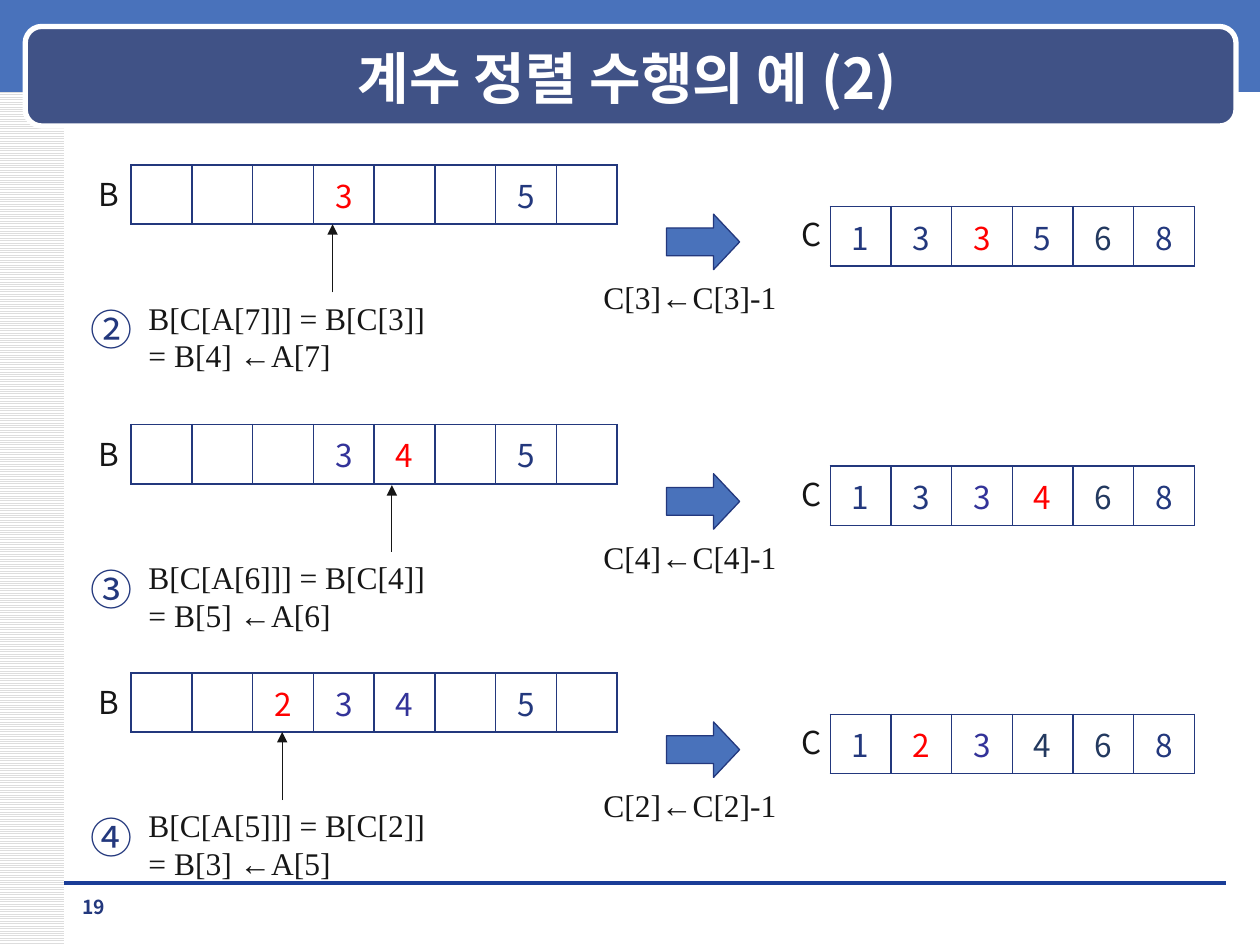
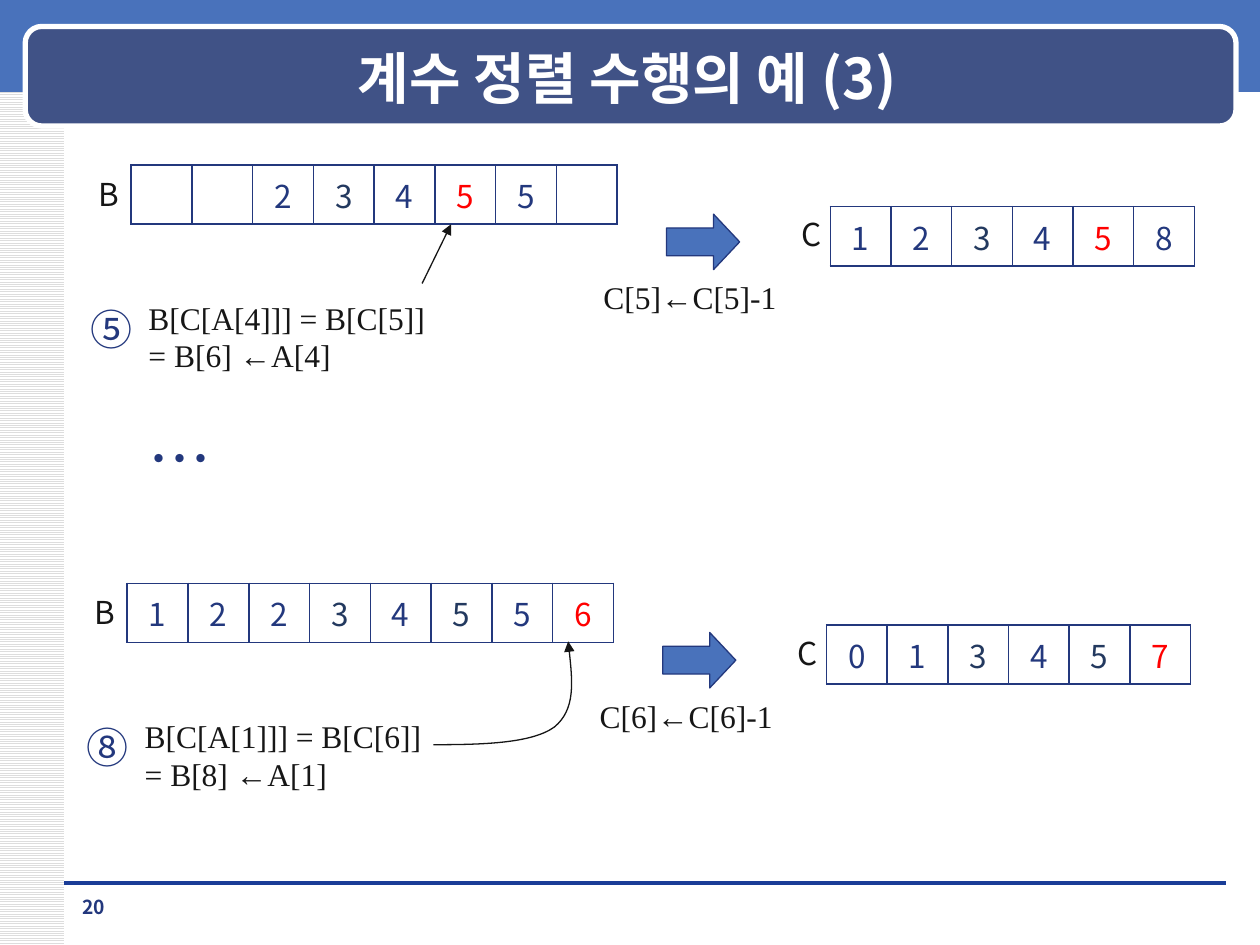
from dataclasses import dataclass

from lxml.etree import SubElement
from pptx import Presentation
from pptx.dml.color import RGBColor
from pptx.enum.dml import MSO_PATTERN as Pattern
from pptx.enum.shapes import MSO_CONNECTOR as Link, MSO_SHAPE as Kind
from pptx.enum.text import MSO_ANCHOR as Anchor, MSO_AUTO_SIZE as Fit, PP_ALIGN as Align
from pptx.oxml.ns import qn
from pptx.util import Inches, Pt

SANS, SERIF = "Noto Sans CJK KR", "Times New Roman"
NAVY, INK, BLUE, WHITE = "23387D", "161616", "4972BB", "FFFFFF"
BAND, RULE, GREY = "405286", "1A3D97", "DDDDDD"
HUES = {"n": NAVY, "r": "FF0000", "v": "333399", "s": "23395F"}
ROW = 0.47


@dataclass
class Step:
    """One pass of the sort; hues hold one key of HUES per cell, a blank cell is a space."""
    top: float
    mark: str
    src: int
    val: int
    dest: int
    b: str
    b_hues: str
    c: str
    c_hues: str
    tail: tuple[float, float] | None = None
    head: tuple[float, float] | None = None
    dx: float = 0


@dataclass
class Page:
    num: int
    title: str
    steps: list[Step]


PAGES = [
    Page(19, "계수 정렬 수행의 예 (2)", [
        Step(1.31, "②", 7, 3, 4, "   3  5 ", "nnnrnnnn", "133568", "nnrnsn",
             (2.64, 2.32), (2.64, 1.78)),
        Step(3.37, "③", 6, 4, 5, "   34 5 ", "nnnvrnnn", "133468", "nnvrsn",
             (3.11, 4.38), (3.11, 3.85)),
        Step(5.34, "④", 5, 2, 3, "  234 5 ", "nnrvvnnn", "123468", "nrvssn",
             (2.24, 6.35), (2.24, 5.81)),
    ]),
    Page(20, "계수 정렬 수행의 예 (3)", [
        Step(1.31, "⑤", 4, 5, 6, "  23455 ", "nnnsnrnn", "123458", "nnsnrn",
             (3.35, 2.25), (3.58, 1.78)),
        Step(4.63, "⑧", 1, 6, 8, "12234556", "nnnsnsnr", "013457", "nnsnsr", dx=-0.03),
    ]),
]
CURVE = [(3.44, 5.91), (3.83, 5.91), (4.22, 5.9), (4.4, 5.77),
         (4.57, 5.63), (4.54, 5.36), (4.51, 5.09)]


def rgb(code: str) -> RGBColor:
    return RGBColor.from_string(code)


def write(frame, text: str, size: float = 18, font: str = SANS, color: str = INK,
          bold: bool = False, align=Align.LEFT) -> None:
    """Put text into a frame, one paragraph per line."""
    frame.text = text
    for para in frame.paragraphs:
        para.alignment = align
        for run in para.runs:
            face = run.font
            face.size, face.name, face.bold = Pt(size), font, bold
            face.color.rgb = rgb(color)
            SubElement(run._r.get_or_add_rPr(), qn("a:ea"), typeface=font)


def label(slide, x: float, y: float, w: float, h: float, text: str,
          wrap: bool = False, **fmt) -> None:
    frame = slide.shapes.add_textbox(*map(Inches, (x, y, w, h))).text_frame
    frame.word_wrap = wrap
    if not wrap:
        frame.auto_size = Fit.SHAPE_TO_FIT_TEXT
    write(frame, text, **fmt)


def block(slide, kind, x: float, y: float, w: float, h: float, fill: str,
          line: str | None = None, width: float = 0.75):
    shape = slide.shapes.add_shape(kind, *map(Inches, (x, y, w, h)))
    shape.shadow.inherit = False
    shape.fill.solid()
    shape.fill.fore_color.rgb = rgb(fill)
    if line:
        shape.line.color.rgb, shape.line.width = rgb(line), Pt(width)
    else:
        shape.line.fill.background()
    return shape


def stroke(shape, color: str, width: float, tip: bool = True) -> None:
    shape.line.color.rgb, shape.line.width = rgb(color), Pt(width)
    if tip:
        SubElement(shape.line._get_or_add_ln(), qn("a:tailEnd"), type="triangle")


def link(slide, start: tuple[float, float], end: tuple[float, float],
         color: str = INK, width: float = 0.75, tip: bool = True) -> None:
    line = slide.shapes.add_connector(Link.STRAIGHT, *map(Inches, start + end))
    stroke(line, color, width, tip)
    SubElement(line._element.spPr, qn("a:effectLst"))


def bend(slide, points: list[tuple[float, float]]) -> None:
    """Draw a Bezier arrow: a start, then three points for each piece."""
    start, *rest = [(Inches(x), Inches(y)) for x, y in points]
    pen = slide.shapes.build_freeform(*start)
    pen.add_line_segments(rest, close=False)
    shape = pen.convert_to_shape()
    shape.shadow.inherit = False
    shape.fill.background()
    stroke(shape, INK, 0.75)
    track = next(shape._element.iter(qn("a:path")))
    parts = track.findall(qn("a:lnTo"))
    for i in range(0, len(parts), 3):
        curve = SubElement(track, qn("a:cubicBezTo"))
        for part in parts[i:i + 3]:
            curve.append(part[0])
            track.remove(part)


def edge(cell) -> None:
    props = cell._tc.get_or_add_tcPr()
    for i, side in enumerate(("lnL", "lnR", "lnT", "lnB")):
        line = SubElement(props, qn(f"a:{side}"), w=str(Pt(1)))
        fill = SubElement(line, qn("a:solidFill"))
        SubElement(fill, qn("a:srgbClr"), val=NAVY)
        props.insert(i, line)


def array(slide, x: float, y: float, w: float, vals: str, hues: str) -> None:
    grid = slide.shapes.add_table(1, len(vals), *map(Inches, (x, y, w, ROW))).table
    grid.first_row = grid.horz_banding = False
    for cell, val, hue in zip(grid.iter_cells(), vals, hues):
        cell.fill.background()
        cell.vertical_anchor = Anchor.MIDDLE
        edge(cell)
        if val != " ":
            write(cell.text_frame, val, color=HUES[hue], align=Align.CENTER)


def frame_page(slide, page: Page) -> None:
    """Draw the side strip, top band, title and footer."""
    strip = block(slide, Kind.RECTANGLE, 0, 0, 0.51, 7.5, WHITE)
    strip.fill.patterned()
    strip.fill.pattern = Pattern.LIGHT_HORIZONTAL
    strip.fill.fore_color.rgb, strip.fill.back_color.rgb = rgb(GREY), rgb(WHITE)
    block(slide, Kind.RECTANGLE, 0, -0.03, 10, 0.76, BLUE)
    link(slide, (0.51, 7.01), (9.73, 7.01), RULE, 0, tip=False)
    block(slide, Kind.ROUNDED_RECTANGLE, 0.2, 0.21, 9.61, 0.79, BAND, WHITE, 3)
    title = slide.shapes.title
    title.left, title.top, title.width, title.height = map(Inches, (0.71, 0.3, 8.54, 0.62))
    title.text_frame.vertical_anchor = Anchor.MIDDLE
    title.text_frame.auto_size = Fit.NONE
    write(title.text_frame, page.title, size=32, color=WHITE, bold=True, align=Align.CENTER)
    title.element.getparent().append(title.element)
    label(slide, 0.51, 7.06, 0.47, 0.27, str(page.num), wrap=True, size=11,
          color=NAVY, bold=True, align=Align.CENTER)


def draw_step(slide, step: Step) -> None:
    x, y, v = step.dx, step.top, step.val
    array(slide, x + 1.04, y, 3.86, step.b, step.b_hues)
    label(slide, x + 0.68, y + 0.03, 0.35, 0.4, "B")
    label(slide, x + 1.08, y + 1.01, 2.42, 0.71,
          f"B[C[A[{step.src}]]] = B[C[{v}]]\n= B[{step.dest}] ←A[{step.src}]", font=SERIF)
    label(slide, x + 0.62, y + 1.05, 0.54, 0.5, step.mark, size=24, color=NAVY)
    arrow = block(slide, Kind.RIGHT_ARROW, x + 5.29, y + 0.39, 0.58, 0.44, BLUE, NAVY)
    arrow.adjustments[1] = 0.47
    array(slide, x + 6.59, y + 0.33, 2.89, step.c, step.c_hues)
    label(slide, x + 6.26, y + 0.35, 0.37, 0.4, "C")
    label(slide, x + 4.69, y + 0.85, 1.59, 0.4, f"C[{v}]←C[{v}]-1", font=SERIF)
    if step.tail and step.head:
        link(slide, step.tail, step.head)


def main() -> None:
    deck = Presentation()
    deck.slide_width, deck.slide_height = Inches(10), Inches(7.5)
    for page in PAGES:
        slide = deck.slides.add_slide(deck.slide_layouts[5])
        frame_page(slide, page)
        for step in page.steps:
            draw_step(slide, step)
    label(slide, 1.08, 3.28, 0.58, 0.71, "…", size=36, color=NAVY)
    bend(slide, CURVE)
    deck.save("out.pptx")


if __name__ == "__main__":
    main()
